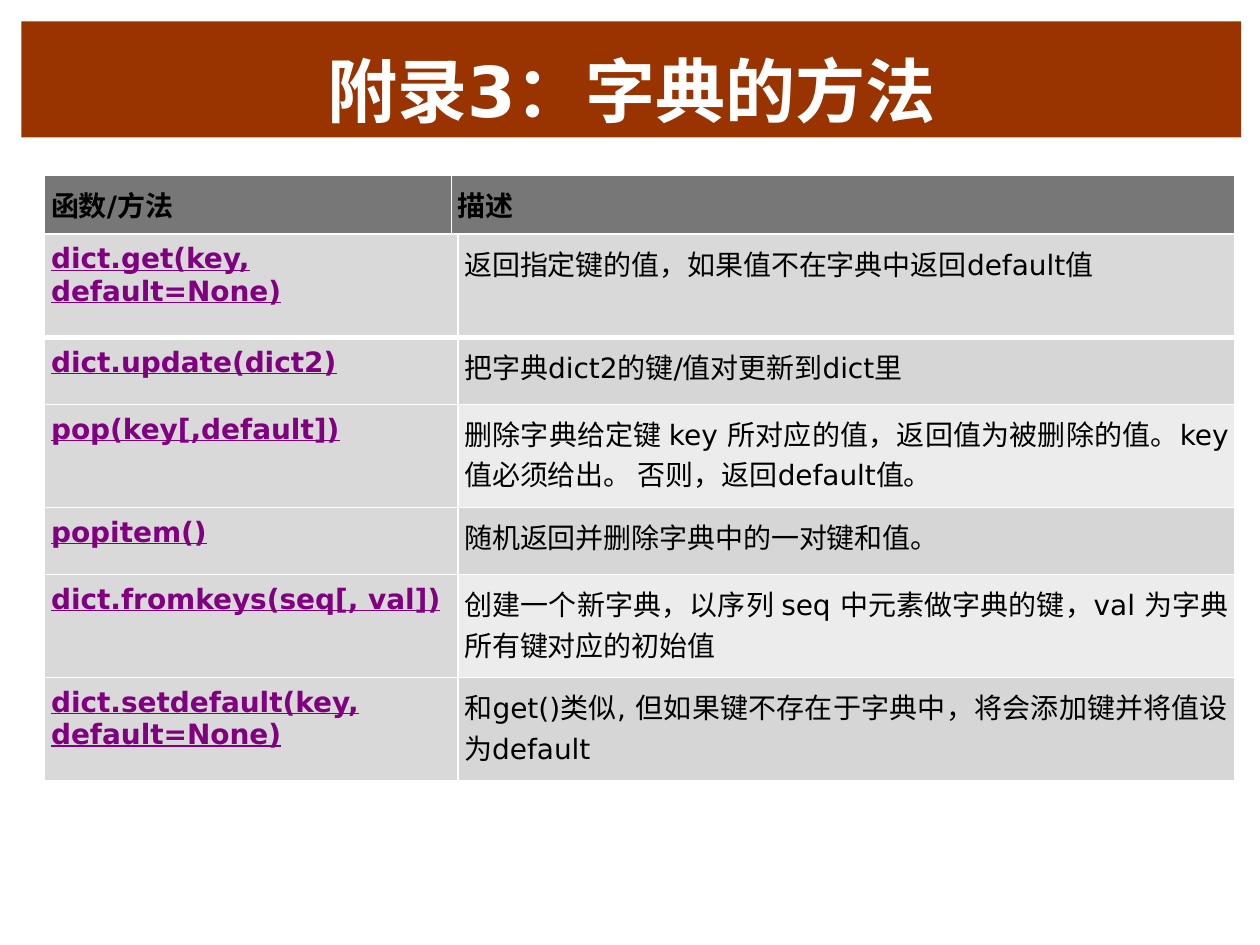
import pptx
import pptx.dml.color
import pptx.enum.text
import pptx.oxml.ns
import pptx.util
import lxml.etree

Cm = pptx.util.Cm
Pt = pptx.util.Pt
RGBColor = pptx.dml.color.RGBColor
ALIGN = pptx.enum.text.PP_ALIGN
ANCHOR = pptx.enum.text.MSO_ANCHOR

FONT = "DejaVu Sans"
WHITE = RGBColor(0xFF, 0xFF, 0xFF)
BLACK = RGBColor(0x00, 0x00, 0x00)
RUST = RGBColor(0x99, 0x33, 0x00)
PURPLE = RGBColor(0x80, 0x00, 0x80)
HEADER_GREY = RGBColor(0x77, 0x77, 0x77)
METHOD_GREY = RGBColor(0xD9, 0xD9, 0xD9)
DARK_BAND = RGBColor(0xD6, 0xD6, 0xD6)
LIGHT_BAND = RGBColor(0xEC, 0xEC, 0xEC)

TALL_ROW, SHORT_ROW = 2.08, 1.35
METHODS = [
    ("dict.get(key, default=None)", "返回指定键的值，如果值不在字典中返回default值", TALL_ROW),
    ("dict.update(dict2)", "把字典dict2的键/值对更新到dict里", SHORT_ROW),
    ("pop(key[,default])",
     "删除字典给定键 key 所对应的值，返回值为被删除的值。key值必须给出。 否则，返回default值。", TALL_ROW),
    ("popitem()", "随机返回并删除字典中的一对键和值。", SHORT_ROW),
    ("dict.fromkeys(seq[, val])",
     "创建一个新字典，以序列 seq 中元素做字典的键，val 为字典所有键对应的初始值", TALL_ROW),
    ("dict.setdefault(key, default=None)",
     "和get()类似, 但如果键不存在于字典中，将会添加键并将值设为default", TALL_ROW),
]


def add_span(para, text, size, color, bold=False, underline=False):
    span = para.add_run()
    span.text = text
    span.font.name = FONT
    span.font.size = Pt(size)
    span.font.color.rgb = color
    span.font.bold = bold
    span.font.underline = underline


def add_borders(cell, bottom_width):
    properties = cell._tc.get_or_add_tcPr()
    for side, width in (("L", 1), ("R", 1), ("T", 1), ("B", bottom_width)):
        line = lxml.etree.SubElement(
            properties, pptx.oxml.ns.qn("a:ln" + side), w=str(Pt(width)))
        fill = lxml.etree.SubElement(line, pptx.oxml.ns.qn("a:solidFill"))
        lxml.etree.SubElement(fill, pptx.oxml.ns.qn("a:srgbClr"), val=str(WHITE))


def fill_cell(cell, text, fill, color, bold=False, underline=False,
              align=ALIGN.JUSTIFY, bottom_width=1):
    add_borders(cell, bottom_width)
    cell.fill.solid()
    cell.fill.fore_color.rgb = fill
    cell.margin_left = cell.margin_right = Cm(0.13)
    cell.margin_top = cell.margin_bottom = Cm(0.18)
    para = cell.text_frame.paragraphs[0]
    para.alignment = align
    add_span(para, text, 16, color, bold, underline)


def add_grid(page, left, top, widths, heights):
    frame = page.shapes.add_table(len(heights), len(widths), Cm(left), Cm(top),
                                  Cm(sum(widths)), Cm(sum(heights)))
    grid = frame.table
    grid.first_row = False
    grid.horz_banding = False
    for column, width in zip(grid.columns, widths):
        column.width = Cm(width)
    for row, height in zip(grid.rows, heights):
        row.height = Cm(height)
    return grid


def add_title(page, left, top, width, height):
    box = page.shapes.title
    box.left, box.top, box.width, box.height = Cm(left), Cm(top), Cm(width), Cm(height)
    box.fill.solid()
    box.fill.fore_color.rgb = RUST
    box.text_frame.vertical_anchor = ANCHOR.BOTTOM
    para = box.text_frame.paragraphs[0]
    para.alignment = ALIGN.CENTER
    add_span(para, "附录3：字典的方法", 40, WHITE, bold=True)


def add_header(page, left, top, width, method_width):
    grid = add_grid(page, left, top, [method_width, width - method_width], [1.27])
    headings = (("函数/方法", ALIGN.LEFT), ("描述", ALIGN.JUSTIFY))
    for column, (text, align) in enumerate(headings):
        fill_cell(grid.cell(0, column), text, HEADER_GREY, BLACK,
                  bold=True, align=align, bottom_width=3)


def add_methods(page, left, top, width, method_width):
    heights = [height for _, _, height in METHODS]
    grid = add_grid(page, left, top, [method_width, width - method_width], heights)
    for row, (method, description, _) in enumerate(METHODS):
        if row == 0:
            band = METHOD_GREY
        else:
            band = DARK_BAND if row % 2 else LIGHT_BAND
        bottom_width = 3 if row == 0 else 1
        fill_cell(grid.cell(row, 0), method, METHOD_GREY, PURPLE,
                  bold=True, underline=True, bottom_width=bottom_width)
        fill_cell(grid.cell(row, 1), description, band, BLACK,
                  bottom_width=bottom_width)


def main():
    deck = pptx.Presentation()
    deck.slide_width, deck.slide_height = Cm(25.4), Cm(19.05)
    page = deck.slides.add_slide(deck.slide_layouts[5])
    add_title(page, 0.43, 0.43, 24.59, 2.34)
    add_header(page, 0.9, 3.53, 24, 8.2)
    add_methods(page, 0.9, 4.72, 24, 8.33)
    deck.save("out.pptx")


if __name__ == "__main__":
    main()
